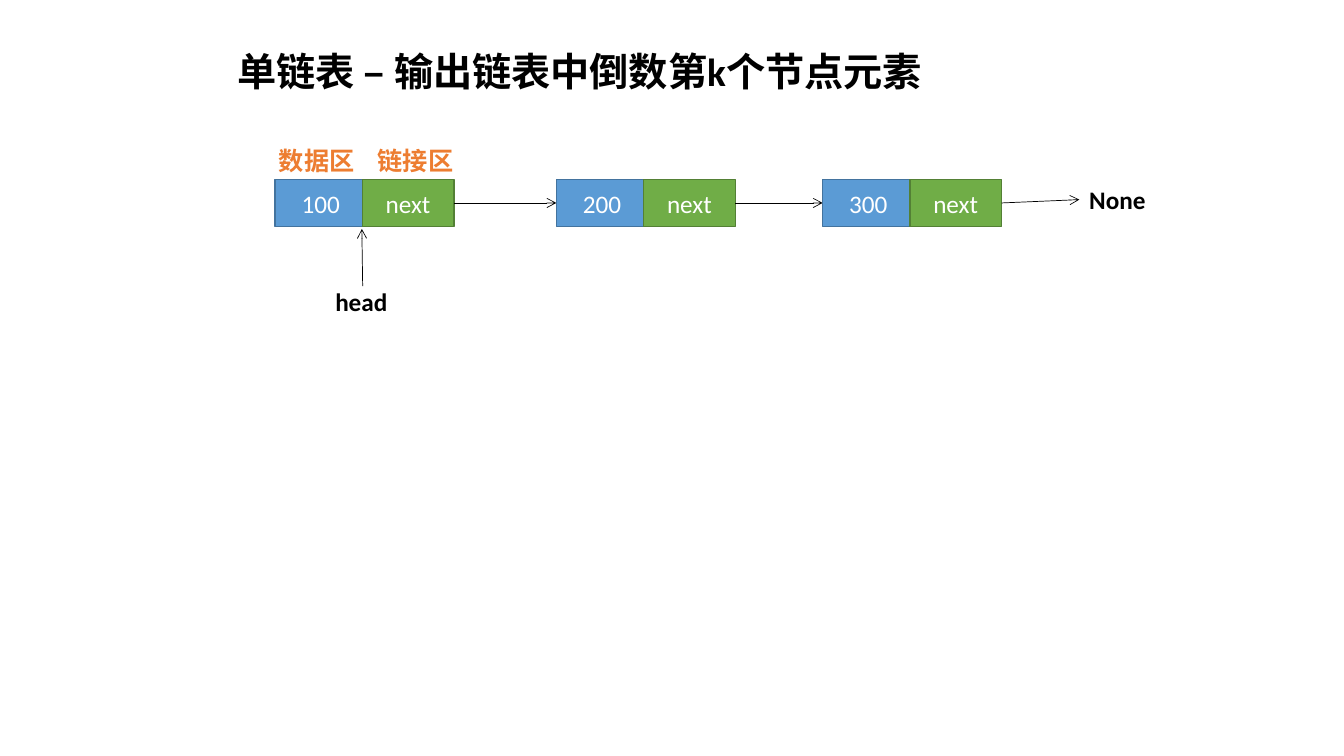
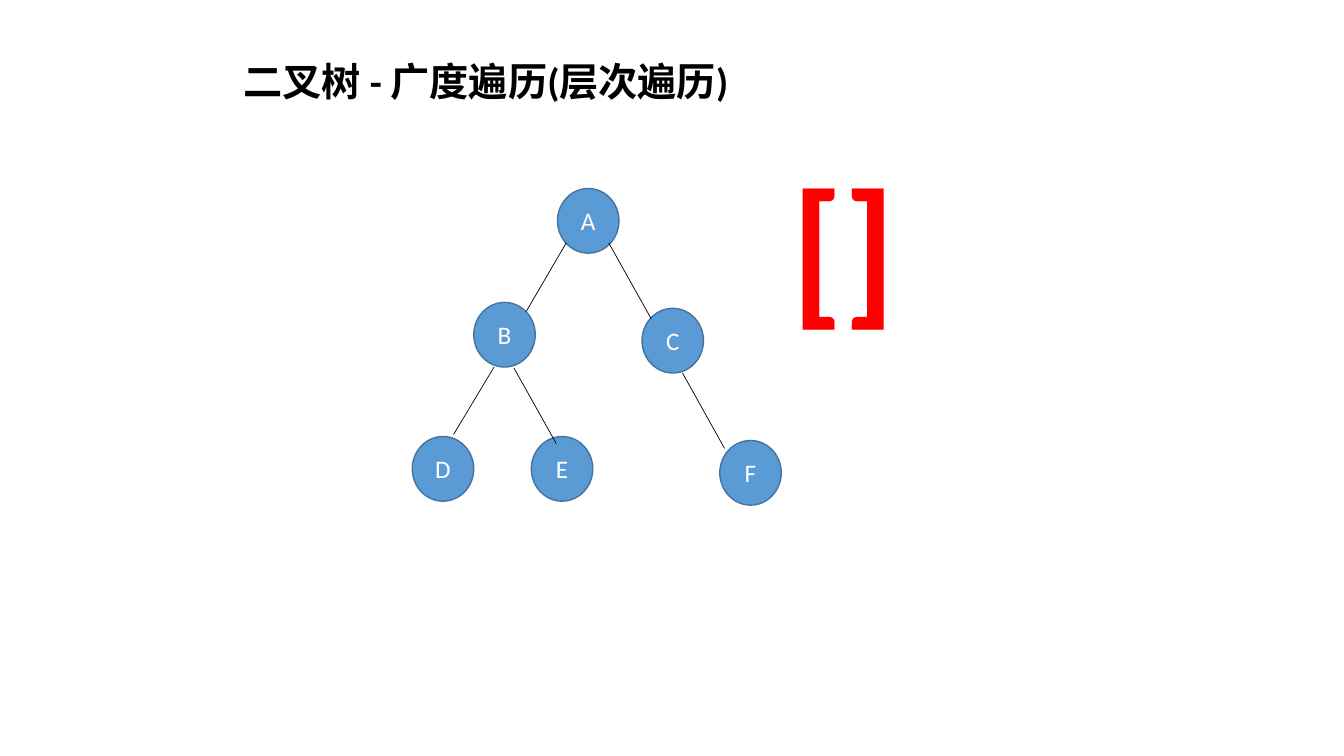
from lxml import etree
from pptx import Presentation
from pptx import util as u
from pptx.dml.color import RGBColor
from pptx.enum import shapes, text
from pptx.oxml import ns

BLACK = RGBColor(0x00, 0x00, 0x00)
WHITE = RGBColor(0xFF, 0xFF, 0xFF)
RED = RGBColor(0xFF, 0x00, 0x00)
ORANGE = RGBColor(0xED, 0x7D, 0x31)
BLUE = (RGBColor(0x5B, 0x9B, 0xD5), RGBColor(0x43, 0x73, 0x9E))
GREEN = (RGBColor(0x70, 0xAD, 0x47), RGBColor(0x53, 0x80, 0x35))
RECT = shapes.MSO_SHAPE.RECTANGLE
OVAL = shapes.MSO_SHAPE.OVAL


def put(page, words, box, size=18, color=BLACK, wrap=False, form=None, paint=None):
    area = [u.Cm(n) for n in box]
    if form is None:
        item = page.shapes.add_textbox(*area)
    else:
        item = page.shapes.add_shape(form, *area)
        item.shadow.inherit = False
        item.fill.solid()
        item.fill.fore_color.rgb = paint[0]
        item.line.color.rgb = paint[1]
        item.line.width = u.Pt(1)
    frame = item.text_frame
    frame.word_wrap = wrap
    para = frame.paragraphs[0]
    if form is None:
        frame.auto_size = text.MSO_AUTO_SIZE.SHAPE_TO_FIT_TEXT
        para.alignment = text.PP_ALIGN.LEFT
    else:
        frame.vertical_anchor = text.MSO_ANCHOR.MIDDLE
        para.alignment = text.PP_ALIGN.CENTER
    run = para.add_run()
    run.text = words
    run.font.name = "Calibri"
    run.font.size = u.Pt(size)
    run.font.bold = form is None
    run.font.color.rgb = color


def link(page, start, end, arrow=False):
    line = page.shapes.add_connector(
        shapes.MSO_CONNECTOR.STRAIGHT, *[u.Cm(n) for n in start + end])
    line.line.color.rgb = BLACK
    line.line.width = u.Pt(0.5)
    if arrow:
        etree.SubElement(line.line._get_or_add_ln(), ns.qn("a:tailEnd"), type="arrow")
    etree.SubElement(line._element.spPr, ns.qn("a:effectLst"))


deck = Presentation()
deck.slide_width = u.Cm(33.87)
deck.slide_height = u.Cm(19.05)
chain, tree = [deck.slides.add_slide(deck.slide_layouts[6]) for _ in range(2)]

titles = [
    (chain, "单链表 – 输出链表中倒数第k个节点元素", (5.74, 1.07, 17.98, 1.45)),
    (tree, "二叉树 - 广度遍历(层次遍历)", (5.89, 1.32, 12.93, 1.45)),
]
for page, words, box in titles:
    put(page, words, box, 28, wrap=True)

top, wide, high, step = 4.52, 2.31, 1.19, 2.2
mid = top + high / 2
cells = [("100", 6.93), ("200", 14.02), ("300", 20.73)]
ends = [(14.02, mid), (20.73, mid), (27.2, 5.03)]
for (value, left), end in zip(cells, ends):
    put(chain, value, (left, top, wide, high), color=WHITE, wrap=True, form=RECT, paint=BLUE)
    put(chain, "next", (left + step, top, wide, high), color=WHITE, wrap=True,
        form=RECT, paint=GREEN)
    link(chain, (left + step + wide, mid), end, True)

for words, left in [("数据区", 6.78), ("链接区", 9.27)]:
    put(chain, words, (left, 3.53, 2.42, 1.02), color=ORANGE)
put(chain, "None", (27.2, 4.52, 1.93, 1.02))
link(chain, (9.14, 7.21), (9.12, 5.77), True)
put(chain, "head", (8.2, 7.09, 1.83, 1.02))

nodes = [("A", 14.05, 4.75), ("B", 11.94, 7.62), ("C", 16.18, 7.77),
         ("D", 10.39, 11), ("E", 13.39, 11), ("F", 18.14, 11.1)]
for name, left, y in nodes:
    put(tree, name, (left, y, 1.55, 1.63), color=WHITE, wrap=True, form=OVAL, paint=BLUE)

edges = [
    ((13.26, 7.85), (14.27, 6.12)),
    ((16.41, 8.03), (15.34, 6.12)),
    ((14.02, 11.18), (12.95, 9.27)),
    ((18.26, 11.3), (17.2, 9.4)),
    ((11.43, 10.95), (12.45, 9.25)),
]
for start, end in edges:
    link(tree, start, end)

put(tree, "[]", (19.69, 3.53, 12.5, 5.18), 115, RED, wrap=True)

deck.save("out.pptx")
